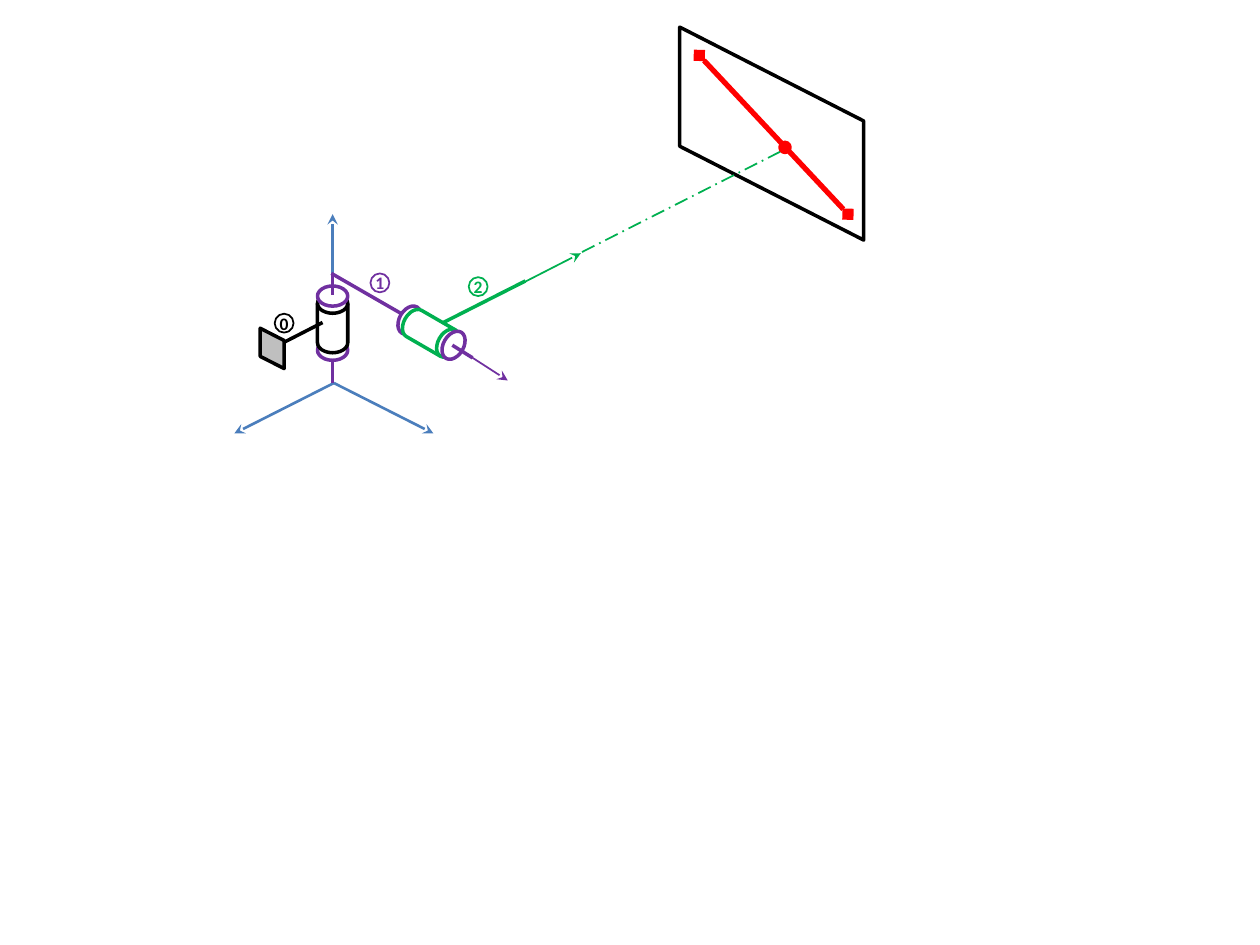
from dataclasses import dataclass
from typing import Any, Optional, Union

from pptx import Presentation
from pptx.dml.color import RGBColor
from pptx.enum.dml import MSO_LINE
from pptx.enum.shapes import MSO_CONNECTOR, MSO_SHAPE
from pptx.enum.text import MSO_ANCHOR, PP_ALIGN
from pptx.oxml.ns import qn
from pptx.util import Inches, Pt
from lxml.etree import SubElement

BLACK, WHITE, GREY = "000000", "FFFFFF", "BFBFBF"
BLUE, PURPLE, GREEN, RED = "4B7EBC", "7030A0", "00B050", "FF0000"

LABEL_FRAME = {
    "margin_left": 0, "margin_right": 0, "margin_top": 0, "margin_bottom": 0,
    "vertical_anchor": MSO_ANCHOR.MIDDLE, "word_wrap": True,
}
LABEL_FONT = {"name": "Calibri", "size": Pt(10), "bold": True}


@dataclass
class Segment:
    """A straight line between two points, with optional ends and dash."""
    start: tuple[float, float]
    end: tuple[float, float]
    color: str
    weight: float = 2
    head: Optional[str] = None
    tail: Optional[str] = None
    dash: Optional[MSO_LINE] = None


@dataclass
class Body:
    """An outlined preset shape with optional fill, rotation and label."""
    preset: MSO_SHAPE
    left: float
    top: float
    width: float
    height: float
    color: str
    fill: Optional[str] = WHITE
    rotation: float = 0
    weight: float = 2
    skew: Optional[float] = None
    label: str = ""


def rgb(value: str) -> RGBColor:
    """Turn a hex string into a colour."""
    return RGBColor.from_string(value)


def apply_format(target: Any, values: dict[str, Any]) -> None:
    """Set every attribute listed in values."""
    for attribute, value in values.items():
        setattr(target, attribute, value)


def axis(start: tuple[float, float], end: tuple[float, float],
         color: str = BLUE, weight: float = 1.5) -> Segment:
    """Describe an axis arrow."""
    return Segment(start, end, color, weight, tail="stealth")


def ring(left: float, top: float, rotation: float = 0) -> Body:
    """Describe the purple end face of a joint."""
    return Body(MSO_SHAPE.OVAL, left, top, 0.24, 0.16, PURPLE, rotation=rotation)


def cylinder(left: float, top: float, color: str, rotation: float = 0) -> Body:
    """Describe the barrel of a joint."""
    return Body(MSO_SHAPE.FLOWCHART_MAGNETIC_DISK, left, top, 0.24, 0.47, color,
                rotation=rotation)


def plate(left: float, top: float, width: float, height: float, fill: str) -> Body:
    """Describe a flat plate seen at an angle."""
    return Body(MSO_SHAPE.PARALLELOGRAM, left, top, width, height, BLACK, fill,
                rotation=270, skew=0.51)


def badge(left: float, top: float, color: str, number: str) -> Body:
    """Describe a circled link number."""
    return Body(MSO_SHAPE.OVAL, left, top, 0.15, 0.15, color, None, weight=1,
                label=number)


def draw_segment(shapes: Any, segment: Segment) -> None:
    """Draw a line with its dash and arrowheads."""
    points = [Inches(value) for value in (*segment.start, *segment.end)]
    connector = shapes.add_connector(MSO_CONNECTOR.STRAIGHT, *points)
    connector.line.color.rgb = rgb(segment.color)
    connector.line.width = Pt(segment.weight)
    if segment.dash:
        connector.line.dash_style = segment.dash
    outline = connector.line._get_or_add_ln()
    for tag, ending in (("a:headEnd", segment.head), ("a:tailEnd", segment.tail)):
        if ending:
            SubElement(outline, qn(tag), type=ending)
    SubElement(connector._element.spPr, qn("a:effectLst"))


def draw_body(shapes: Any, body: Body) -> None:
    """Draw a preset shape and its label."""
    box = [Inches(value) for value in (body.left, body.top, body.width, body.height)]
    shape = shapes.add_shape(body.preset, *box)
    shape.shadow.inherit = False
    shape.rotation = body.rotation
    if body.skew is not None:
        shape.adjustments[0] = body.skew
    if body.fill:
        shape.fill.solid()
        shape.fill.fore_color.rgb = rgb(body.fill)
    else:
        shape.fill.background()
    shape.line.color.rgb = rgb(body.color)
    shape.line.width = Pt(body.weight)
    if body.label:
        apply_format(shape.text_frame, LABEL_FRAME)
        paragraph = shape.text_frame.paragraphs[0]
        paragraph.alignment = PP_ALIGN.CENTER
        run = paragraph.add_run()
        run.text = body.label
        apply_format(run.font, LABEL_FONT)
        run.font.color.rgb = rgb(body.color)


ORIGIN = (2.65, 3.04)

ROBOT: list[Union[Segment, Body]] = [
    axis((2.64, 2.96), (2.64, 1.7)),
    ring(2.52, 2.7),
    Segment((2.63, 2.17), (3.43, 2.63), PURPLE),
    Segment((4.17, 2.23), (3.38, 2.63), GREEN),
    ring(3.13, 2.46, 300),
    axis(ORIGIN, (1.86, 3.44)),
    axis(ORIGIN, (3.44, 3.44)),
    cylinder(3.3, 2.41, GREEN, 120),
    ring(3.48, 2.66, 300),
    Segment((3.59, 2.74), (3.75, 2.84), PURPLE),
    cylinder(2.52, 2.33, BLACK),
    ring(2.52, 2.27),
    Segment((2.64, 2.34), (2.64, 2.17), PURPLE),
    Segment((2.64, 3.04), (2.64, 2.87), PURPLE),
    Segment((2.56, 2.56), (2.17, 2.76), BLACK),
    plate(2, 2.67, 0.32, 0.19, GREY),
    badge(2.18, 2.49, BLACK, "0"),
    badge(2.94, 2.17, PURPLE, "1"),
    badge(3.72, 2.2, GREEN, "2"),
    axis((3.72, 2.82), (4.03, 3.02), PURPLE, 1),
    axis((4.16, 2.24), (4.61, 2.01), GREEN, 1),
]

TARGET: list[Union[Segment, Body]] = [
    plate(5.28, 0.33, 1.69, 1.46, WHITE),
    Segment((5.55, 0.44), (6.73, 1.7), RED, 3, head="diamond", tail="diamond"),
    Segment((4.62, 2), (6.26, 1.17), GREEN, 1, dash=MSO_LINE.LONG_DASH_DOT),
    Body(MSO_SHAPE.OVAL, 6.19, 1.13, 0.08, 0.08, RED, RED),
]


def main() -> None:
    """Build the slide and save it."""
    deck = Presentation()
    deck.slide_width, deck.slide_height = Inches(10), Inches(7.5)
    slide = deck.slides.add_slide(deck.slide_layouts[6])
    for part in ROBOT + TARGET:
        if isinstance(part, Segment):
            draw_segment(slide.shapes, part)
        else:
            draw_body(slide.shapes, part)
    deck.save("out.pptx")


if __name__ == "__main__":
    main()
